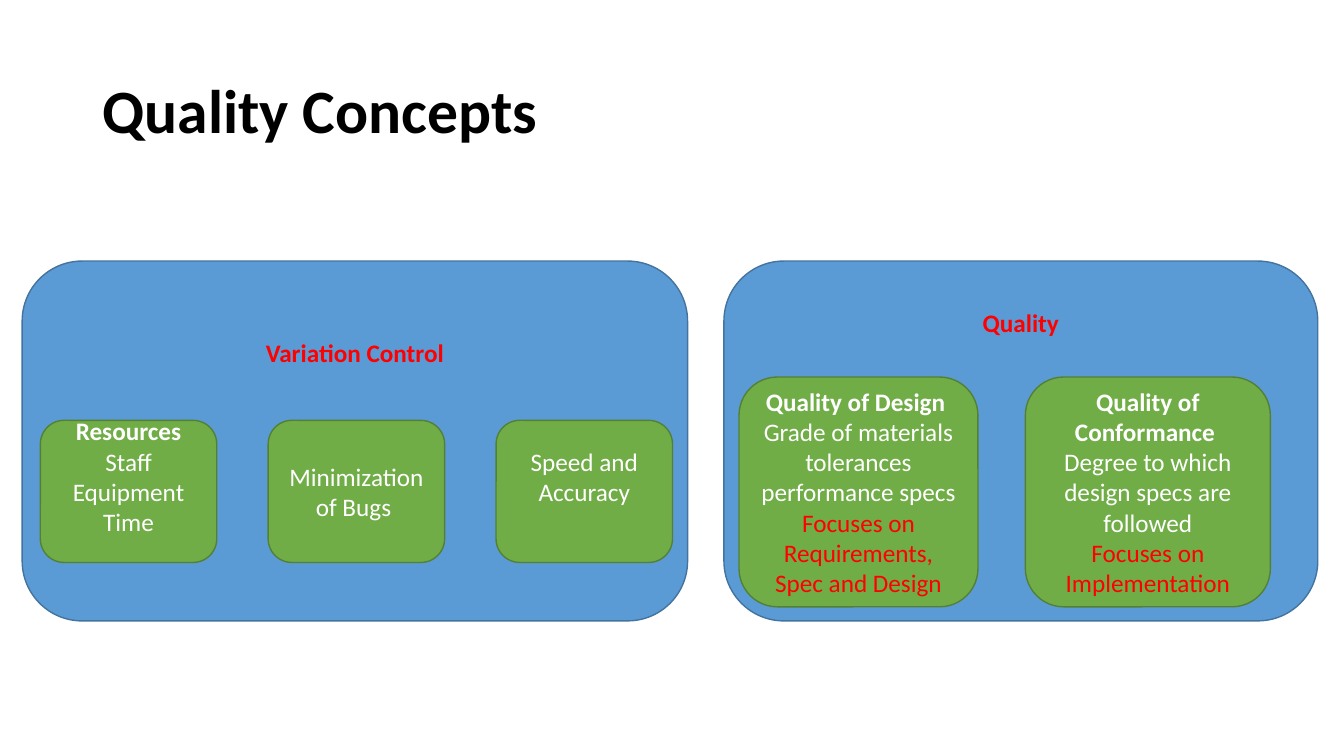
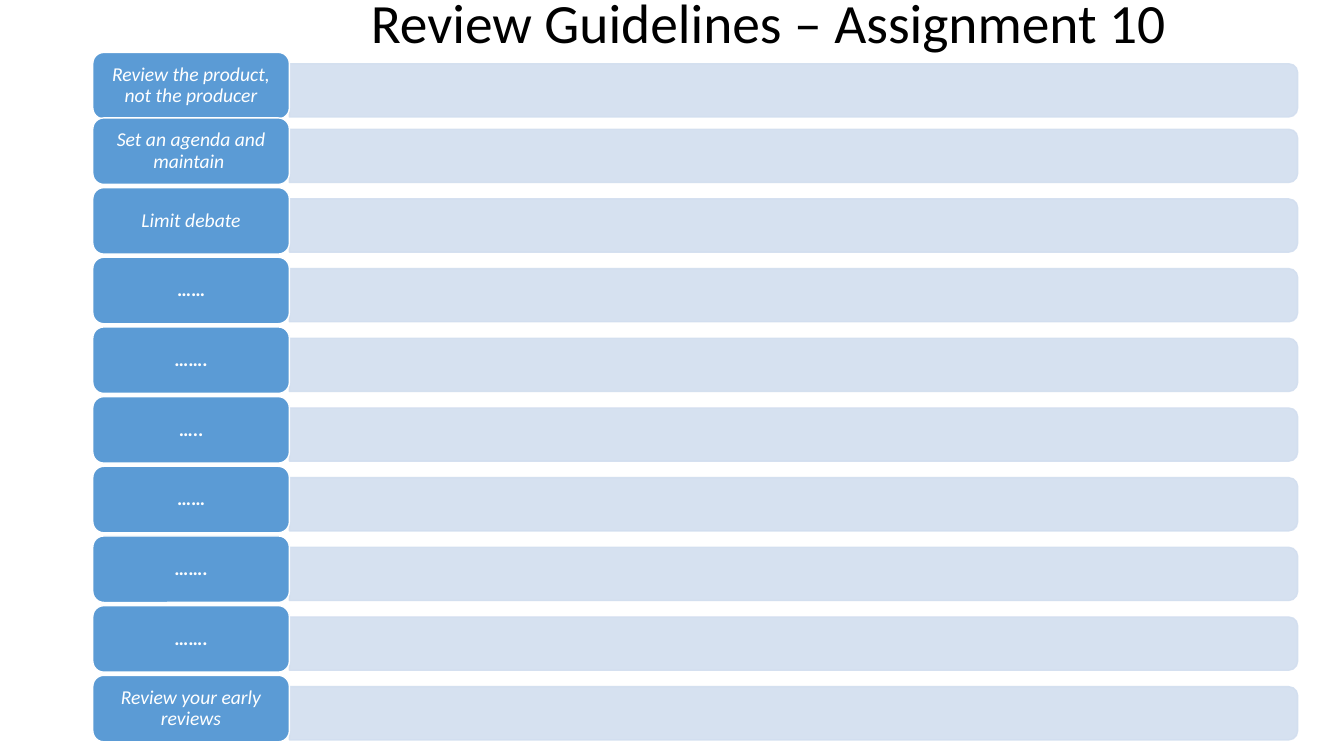
from pptx import Presentation
from pptx.dml.color import RGBColor
from pptx.enum.shapes import MSO_SHAPE
from pptx.enum.text import MSO_ANCHOR, PP_ALIGN
from pptx.oxml.ns import qn
from pptx.util import Inches, Pt
from lxml import etree

ROUNDED = MSO_SHAPE.ROUNDED_RECTANGLE
TWO_ROUNDED = MSO_SHAPE.ROUND_2_SAME_RECTANGLE
TOP, MIDDLE = MSO_ANCHOR.TOP, MSO_ANCHOR.MIDDLE
LEFT, CENTER = PP_ALIGN.LEFT, PP_ALIGN.CENTER

FONT = "Calibri"
COLORS = {
    "blue": "5B9BD5",
    "blue_edge": "43739E",
    "green": "70AD47",
    "green_edge": "538035",
    "pale": "D2DEEF",
    "red": "FF0000",
    "white": "FFFFFF",
    "black": "000000",
}
SLIDE_WIDTH, SLIDE_HEIGHT = 13.33, 7.5
MARGIN = 0.92
LINE_HEIGHT = 0.3
INSETS = (0.1, 0.05, 0.1, 0.05)


def color(name):
    return RGBColor.from_string(COLORS[name])


def write(shape, lines, size, align=CENTER, anchor=MIDDLE, insets=INSETS, spacing=1.0):
    """Fill a shape with lines of (text, colour, style); style is "", "bold" or "italic"."""
    frame = shape.text_frame
    frame.word_wrap = True
    frame.vertical_anchor = anchor
    frame.margin_left, frame.margin_top, frame.margin_right, frame.margin_bottom = map(Inches, insets)
    frame.text = "\n".join(text for text, _, _ in lines)
    for para, (_, ink, style) in zip(frame.paragraphs, lines):
        para.alignment = align
        para.line_spacing = spacing
        for span in para.runs:
            span.font.name = FONT
            span.font.size = Pt(size)
            span.font.bold = style == "bold"
            span.font.italic = style == "italic"
            span.font.color.rgb = color(ink)


def add_title(page, box, text, size, style=""):
    title = page.shapes.add_textbox(*map(Inches, box))
    write(title, [(text, "black", style)], size, align=LEFT, spacing=0.9)


def add_block(page, box, fill, edge, preset=ROUNDED):
    block = page.shapes.add_shape(preset, *map(Inches, box))
    block.shadow.inherit = False
    block.fill.solid()
    block.fill.fore_color.rgb = color(fill)
    block.line.color.rgb = color(edge)
    block.line.width = Pt(1)
    return block


def make_translucent(shape, percent):
    """Set the opacity of both fill and line."""
    for rgb in shape.element.spPr.iter(qn("a:srgbClr")):
        etree.SubElement(rgb, qn("a:alpha")).set("val", str(percent * 1000))


def add_panel(page, box, heading, heading_drop, cards, card_box, gap):
    """Draw a headed panel with a row of cards.

    card_box is (left, top, height) inside the panel; each card is
    (width, lines, empty lines kept below the text).
    """
    left, top, _, _ = box
    panel = add_block(page, box, "blue", "blue_edge")
    write(panel, [(heading, "red", "bold")], 18, anchor=TOP, insets=(0.1, heading_drop, 0.1, 0.05))
    card_left, card_top, card_height = card_box
    x = left + card_left
    for width, lines, lines_below in cards:
        card = add_block(page, (x, top + card_top, width, card_height), "green", "green_edge")
        write(card, lines, 18, insets=(0.1, 0.05, 0.1, 0.05 + lines_below * LINE_HEIGHT))
        x += width + gap


def add_guideline(page, box, text, style):
    """Draw one row: a label on the left and a pale bar, turned by 90 degrees, on the right."""
    left, top, width, height = box
    label_width, bar_length = 1.95, 10
    bar_height = 0.8 * height
    bar_middle_x = left + width - bar_length / 2
    bar_middle_y = top + 0.57 * height
    bar_box = (bar_middle_x - bar_height / 2, bar_middle_y - bar_length / 2, bar_height, bar_length)
    bar = add_block(page, bar_box, "pale", "pale", TWO_ROUNDED)
    bar.rotation = 90
    make_translucent(bar, 90)
    label = add_block(page, (left, top, label_width, height), "blue", "white")
    write(label, [(text, "white", style)], 14, insets=(0.06, 0.03, 0.06, 0.03), spacing=0.9)


def build_concepts(page):
    add_title(page, (MARGIN, 0.4, 11.5, 1.45), "Quality Concepts", 44, "bold")
    panel_top, panel_height = 2.59, 3.57
    control_cards = [
        (1.75, [("Resources", "white", "bold"),
                ("Staff Equipment", "white", ""),
                ("Time", "white", "")], 1),
        (1.75, [("Minimization of Bugs ", "white", "")], 0),
        (1.75, [("Speed and Accuracy", "white", "")], 1),
    ]
    quality_cards = [
        (2.37, [("Quality of Design ", "white", "bold"),
                ("Grade of materials tolerances performance specs", "white", ""),
                ("Focuses on Requirements, Spec and Design", "red", "")], 0),
        (2.43, [("Quality of Conformance ", "white", "bold"),
                ("Degree to which design specs are followed", "white", ""),
                ("Focuses on Implementation", "red", "")], 0),
    ]
    add_panel(page, (0.22, panel_top, 6.6, panel_height), "Variation Control", 0.58,
              control_cards, (0.18, 1.58, 1.41), 0.51)
    add_panel(page, (7.18, panel_top, 5.89, panel_height), "Quality", 0.28,
              quality_cards, (0.15, 1.15, 2.28), 0.47)


def build_guidelines(page):
    add_title(page, (3.58, 0, 8.12, 0.51), "Review Guidelines – Assignment 10", 39.6)
    guidelines = [
        ("Review the product, not the producer", "italic"),
        ("Set an agenda and maintain ", "italic"),
        ("Limit debate", "italic"),
        ("……", "bold"),
        ("…….", "bold"),
        ("…..", "bold"),
        ("……", "bold"),
        ("…….", "bold"),
        ("…….", "bold"),
        ("Review your early reviews", "italic"),
    ]
    row_height = 0.66
    first_top, second_top, last_top = 0.52, 1.17, 6.7
    pitch = (last_top - second_top) / (len(guidelines) - 2)
    for row, (text, style) in enumerate(guidelines):
        top = second_top + (row - 1) * pitch if row else first_top
        add_guideline(page, (MARGIN, top, 11.95, row_height), text, style)


def main():
    deck = Presentation()
    deck.slide_width, deck.slide_height = Inches(SLIDE_WIDTH), Inches(SLIDE_HEIGHT)
    blank = deck.slide_layouts[6]
    for build in (build_concepts, build_guidelines):
        build(deck.slides.add_slide(blank))
    deck.save("out.pptx")


if __name__ == "__main__":
    main()
